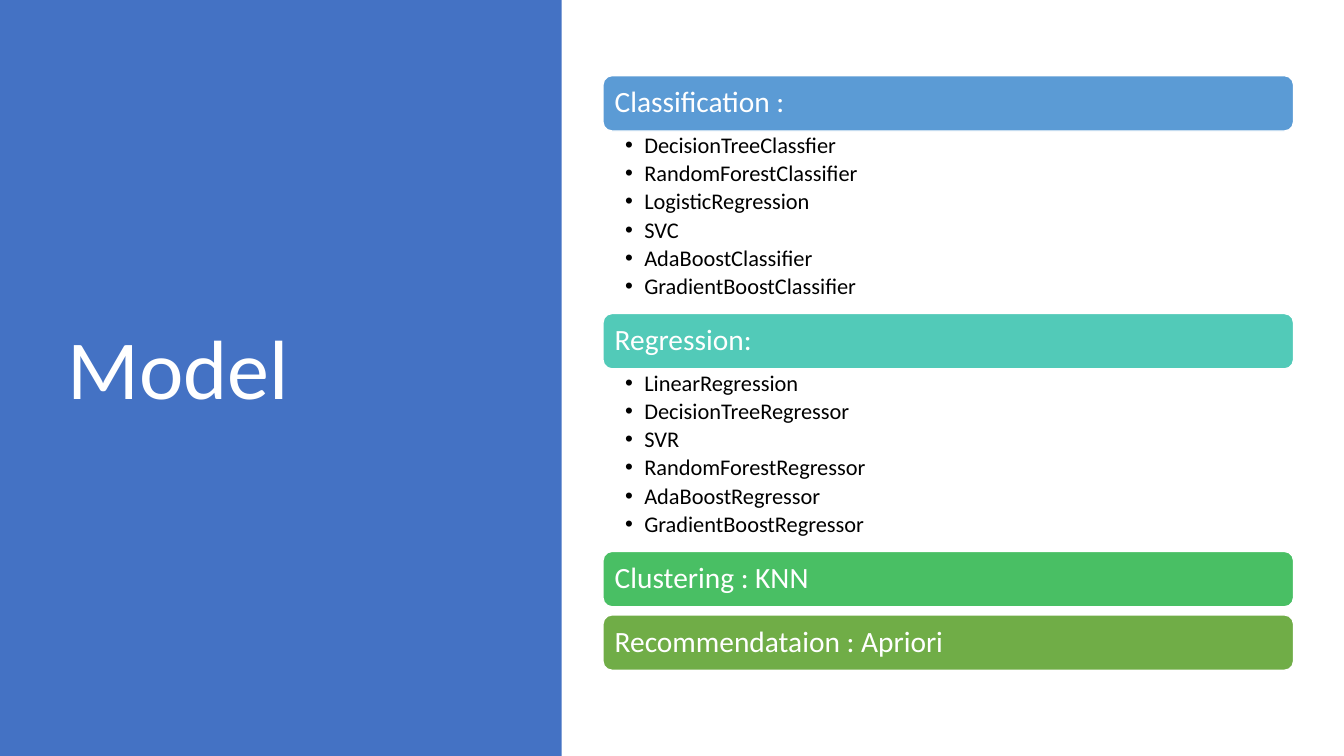
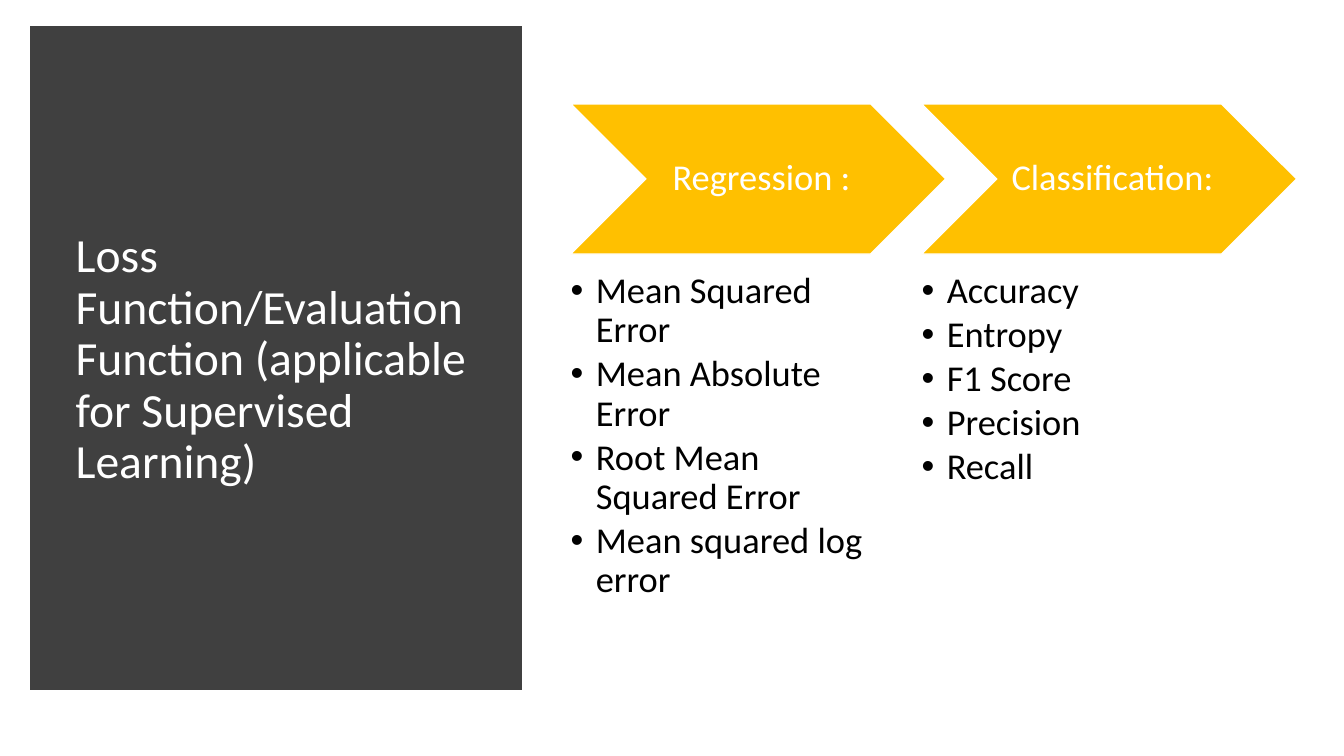
"""Build two slides on machine learning models and their loss functions."""
from lxml.etree import SubElement
from pptx import Presentation
from pptx.dml.color import RGBColor
from pptx.enum.shapes import MSO_SHAPE
from pptx.enum.text import MSO_ANCHOR, MSO_AUTO_SIZE, PP_ALIGN
from pptx.oxml.ns import qn
from pptx.util import Inches, Pt

FONT = "Calibri"
WHITE, BLACK = "FFFFFF", "000000"
BLUE, GRAY, GOLD = "4472C4", "404040", "FFC000"


def write(shape, lines, size, color, align=PP_ALIGN.LEFT, insets=(0.1, 0.05, 0.1, 0.05),
          anchor=MSO_ANCHOR.MIDDLE, indent=0, after=0):
    frame = shape.text_frame
    frame.word_wrap = True
    frame.auto_size = MSO_AUTO_SIZE.NONE
    frame.vertical_anchor = anchor
    (frame.margin_left, frame.margin_top,
     frame.margin_right, frame.margin_bottom) = map(Inches, insets)
    for i, line in enumerate(lines):
        para = frame.add_paragraph() if i else frame.paragraphs[0]
        para.alignment = align
        para.line_spacing = 0.9
        para.space_before, para.space_after = Pt(0), Pt(after)
        if indent:
            props = para._p.get_or_add_pPr()
            props.set("marL", str(Inches(indent)))
            props.set("indent", str(-Inches(indent)))
        run = para.add_run()
        run.text = line
        run.font.name = FONT
        run.font.size = Pt(size)
        run.font.color.rgb = RGBColor.from_string(color)


def place(slide, kind, box, fill, line, width):
    shape = slide.shapes.add_shape(kind, *map(Inches, box))
    shape.shadow.inherit = False
    shape.fill.solid()
    shape.fill.fore_color.rgb = RGBColor.from_string(fill)
    shape.line.color.rgb = RGBColor.from_string(line)
    shape.line.width = Pt(width)
    SubElement(shape.line._get_or_add_ln(), qn("a:miter"), lim="800000")
    return shape


deck = Presentation()
deck.slide_width, deck.slide_height = Inches(13.33), Inches(7.5)

slides = []
for title, size, title_box, panel_box, color, width in [
    ("Model", 60, (0.57, 0.68, 4.16, 6.02), (0, 0, 5.57, 7.5), BLUE, 0),
    ("Loss Function/Evaluation Function (applicable for Supervised Learning)", 34,
     (0.65, 0.7, 4.16, 5.75), (0.37, 0.33, 4.74, 6.45), GRAY, 10),
]:
    slide = deck.slides.add_slide(deck.slide_layouts[3])
    panel = place(slide, MSO_SHAPE.RECTANGLE, panel_box, color, color, width)
    if not width:
        panel.line.fill.background()
    slide.shapes._spTree.insert(2, panel._element)
    head = slide.shapes.title
    head.left, head.top, head.width, head.height = map(Inches, title_box)
    write(head, [title], size, WHITE)
    slides.append(slide)

model, loss = slides

BAR_X, BAR_W, BAR_H = 5.98, 6.85, 0.55
LIST_H, GAP = 1.81, 0.08
top = 0.75
bodies = iter(list(model.placeholders)[1:])
for label, color, names in [
    ("Classification :", "5B9BD5",
     ["DecisionTreeClassfier", "RandomForestClassifier", "LogisticRegression",
      "SVC", "AdaBoostClassifier", "GradientBoostClassifier"]),
    ("Regression:", "52CAB8",
     ["LinearRegression", "DecisionTreeRegressor", "SVR",
      "RandomForestRegressor", "AdaBoostRegressor", "GradientBoostRegressor"]),
    ("Clustering : KNN", "49BF64", []),
    ("Recommendataion : Apriori", "70AD47", []),
]:
    bar = place(model, MSO_SHAPE.ROUNDED_RECTANGLE, (BAR_X, top, BAR_W, BAR_H),
                color, WHITE, 1)
    write(bar, [label], 21, WHITE, insets=(0.09, 0.05, 0.09, 0.05))
    top += BAR_H
    if names:
        body = next(bodies)
        body.left, body.top = Inches(BAR_X), Inches(top)
        body.width, body.height = Inches(BAR_W), Inches(LIST_H)
        write(body, names, 16, BLACK, insets=(0.22, 0.03, 0.16, 0.03),
              anchor=MSO_ANCHOR.TOP, indent=0.19, after=2.9)
        top += LIST_H
    else:
        top += GAP

COL_X, COL_STEP = 5.66, 3.48
columns = [
    ("Regression :", ["Mean Squared Error", "Mean Absolute Error",
                      "Root Mean Squared Error", "Mean squared log error"]),
    ("Classification:", ["Accuracy", "Entropy", "F1 Score", "Precision", "Recall"]),
]
for i, (label, names) in enumerate(columns):
    left = COL_X + i * COL_STEP
    arrow = place(loss, MSO_SHAPE.CHEVRON, (left, 1.03, 3.72, 1.49), GOLD, WHITE, 1)
    write(arrow, [label], 26, WHITE, PP_ALIGN.CENTER, (0.11, 0.04, 0.04, 0.04))
    body = loss.placeholders[i + 1]
    body.left, body.top = Inches(left), Inches(2.7)
    body.width, body.height = Inches(2.97), Inches(3.39)
    write(body, names, 26, BLACK, insets=(0, 0, 0, 0),
          anchor=MSO_ANCHOR.TOP, indent=0.25, after=3.4)

deck.save("out.pptx")
